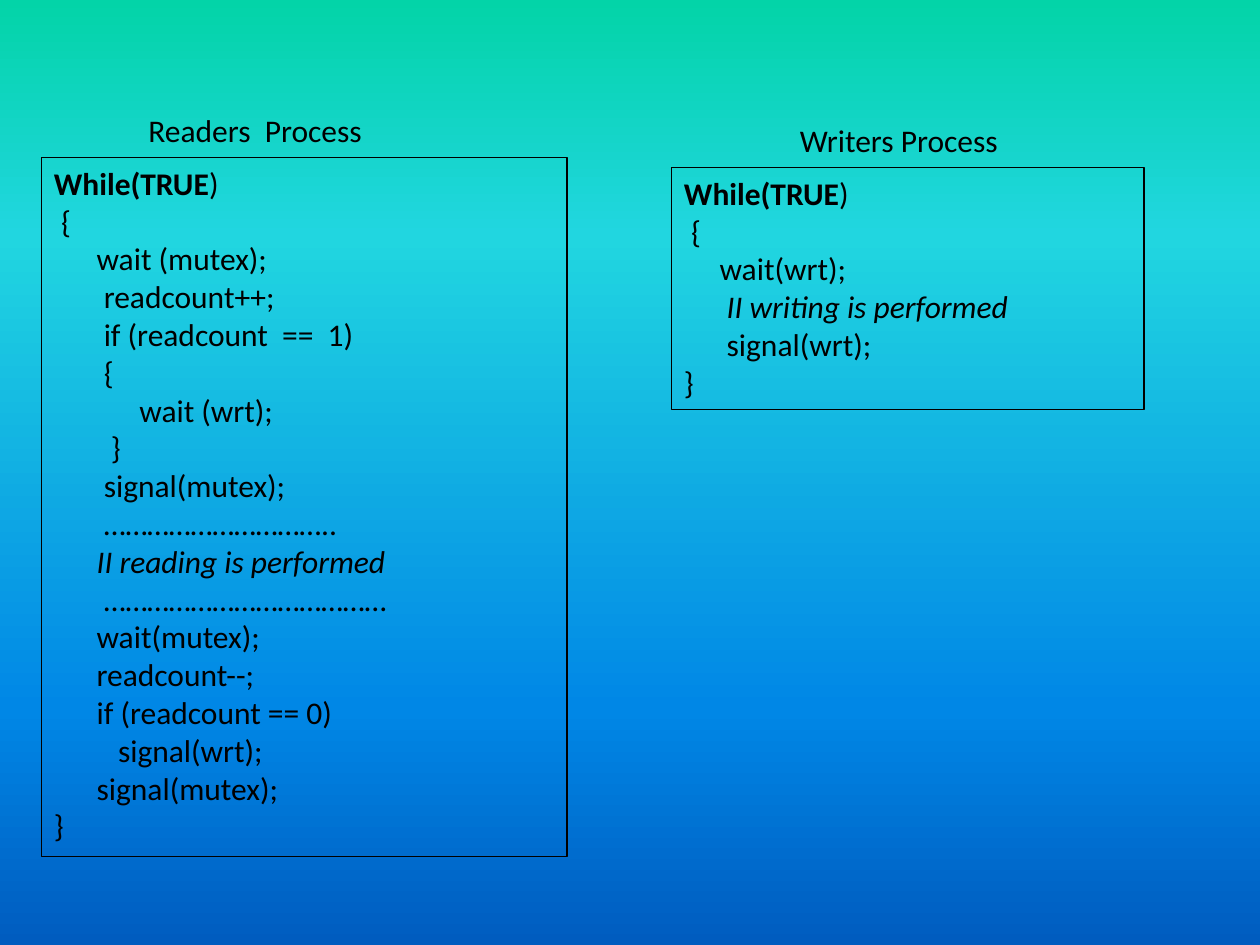
from lxml.etree import SubElement
from pptx import Presentation
from pptx.dml.color import RGBColor
from pptx.enum.shapes import MSO_SHAPE
from pptx.enum.text import MSO_ANCHOR, PP_ALIGN
from pptx.oxml.ns import qn
from pptx.util import Inches, Pt

BLACK = RGBColor(0x00, 0x00, 0x00)
BACKGROUND_STOPS = [
    (0, RGBColor(0x03, 0xD4, 0xA8)),
    (25, RGBColor(0x21, 0xD6, 0xE0)),
    (75, RGBColor(0x00, 0x87, 0xE6)),
    (100, RGBColor(0x00, 0x5C, 0xBF)),
]
FONT, FONT_SIZE = "Calibri", Pt(18)
INDENT_STEP = Pt(4.07)  # one character column of code indentation
HEADING_SIZE = (2.33, 0.42)

# Each code line: (indent in character columns, text); comments start with "II".
PROCESSES = [
    {
        "heading": "Readers  Process",
        "heading_left": 1.08,
        "frame": (0.33, 1.25, 4.17, 5.55),
        "code": [
            (0, "While(TRUE)"),
            (1, "{"),
            (6, "wait (mutex);"),
            (7, "readcount++;"),
            (7, "if (readcount  ==  1)"),
            (7, "{"),
            (12, "wait (wrt);"),
            (8, "}"),
            (7, "signal(mutex);"),
            (7, "…" * 10 + ".."),
            (6, "II reading is performed"),
            (7, "…" * 13),
            (6, "wait(mutex);"),
            (6, "readcount--;"),
            (6, "if (readcount == 0)"),
            (9, "signal(wrt);"),
            (6, "signal(mutex);"),
            (0, "}"),
        ],
    },
    {
        "heading": "Writers Process",
        "heading_left": 6.25,
        "frame": (5.33, 1.33, 3.75, 1.92),
        "code": [
            (0, "While(TRUE)"),
            (1, "{"),
            (5, "wait(wrt);"),
            (6, "II writing is performed"),
            (6, "signal(wrt);"),
            (0, "}"),
        ],
    },
]


def paint_background(page):
    """Fill the page with the vertical gradient."""
    fill = page.background.fill
    fill.gradient()
    gradient = page.background._cSld.find(".//" + qn("a:gradFill"))
    stops = gradient.find(qn("a:gsLst"))
    for stop in list(stops):
        stops.remove(stop)
    for percent, color in BACKGROUND_STOPS:
        stop = SubElement(stops, qn("a:gs"), pos=str(percent * 1000))
        SubElement(stop, qn("a:srgbClr"), val=str(color))
    gradient.find(qn("a:lin")).set("ang", str(90 * 60000))


def add_span(para, text, bold=False, italic=False):
    """Append one formatted run."""
    span = para.add_run()
    span.text = text
    span.font.name, span.font.size = FONT, FONT_SIZE
    span.font.bold, span.font.italic = bold, italic
    span.font.color.rgb = BLACK


def add_heading(page, process):
    """Place the process name directly above its code frame."""
    width, height = HEADING_SIZE
    top = process["frame"][1] - height
    box = page.shapes.add_textbox(
        *map(Inches, (process["heading_left"], top, width, height)))
    box.text_frame.word_wrap = True
    add_span(box.text_frame.paragraphs[0], process["heading"])


def add_code(page, process):
    """Draw the outlined frame and write the code lines into it."""
    box = page.shapes.add_shape(MSO_SHAPE.RECTANGLE, *map(Inches, process["frame"]))
    box.shadow.inherit = False
    box.fill.background()
    box.line.color.rgb = BLACK
    box.line.width = Pt(0.75)
    frame = box.text_frame
    frame.word_wrap = True
    frame.vertical_anchor = MSO_ANCHOR.TOP
    for number, (indent, text) in enumerate(process["code"]):
        para = frame.add_paragraph() if number else frame.paragraphs[0]
        para.alignment = PP_ALIGN.LEFT
        para._p.get_or_add_pPr().set("marL", str(int(indent * INDENT_STEP)))
        if text.startswith("While"):
            add_span(para, text[:-1], bold=True)
            add_span(para, text[-1])
        else:
            add_span(para, text, italic=text.startswith("II"))


deck = Presentation()
deck.slide_width, deck.slide_height = Inches(10), Inches(7.5)
page = deck.slides.add_slide(deck.slide_layouts[6])
paint_background(page)
for process in PROCESSES:
    add_code(page, process)
    add_heading(page, process)
deck.save("out.pptx")
